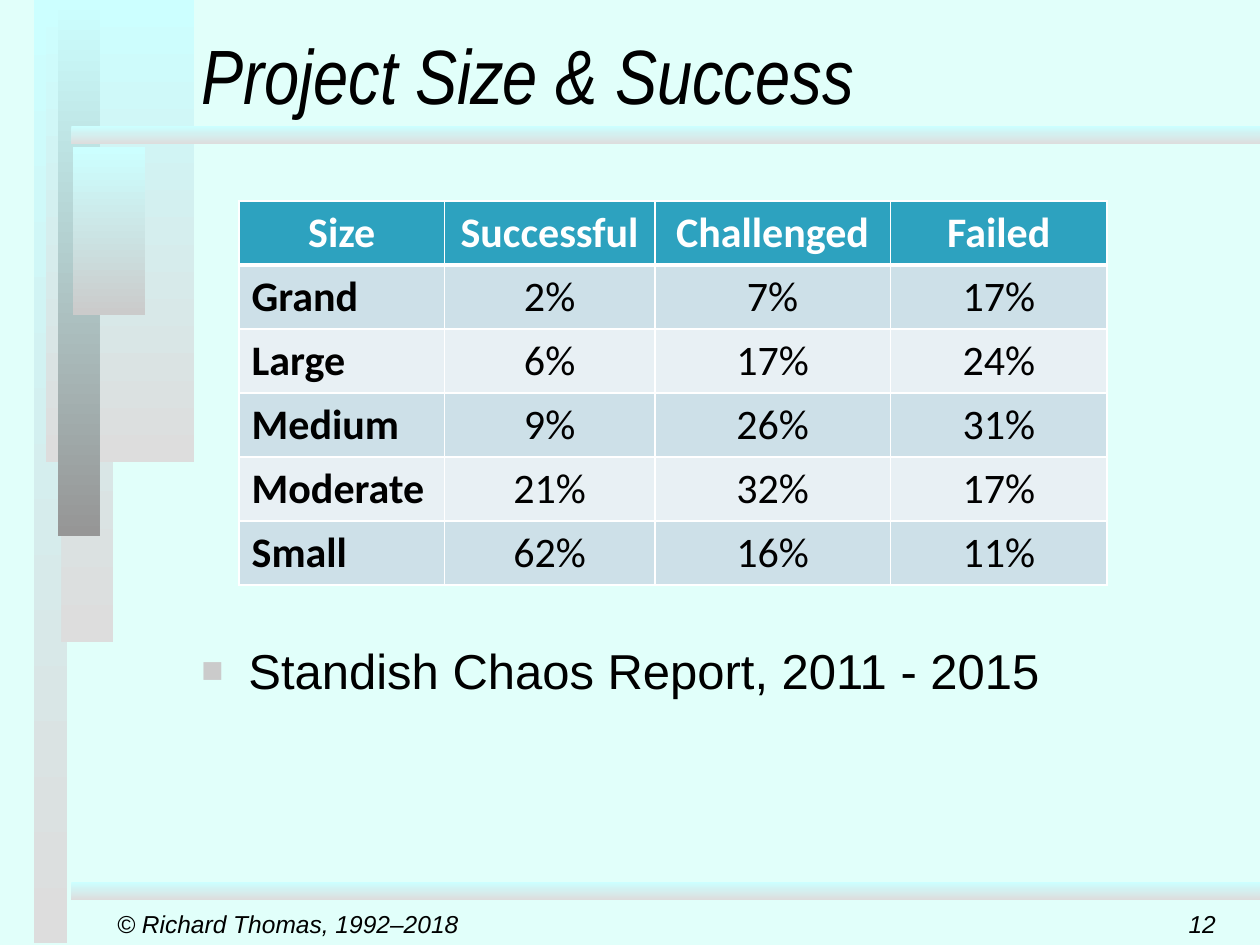
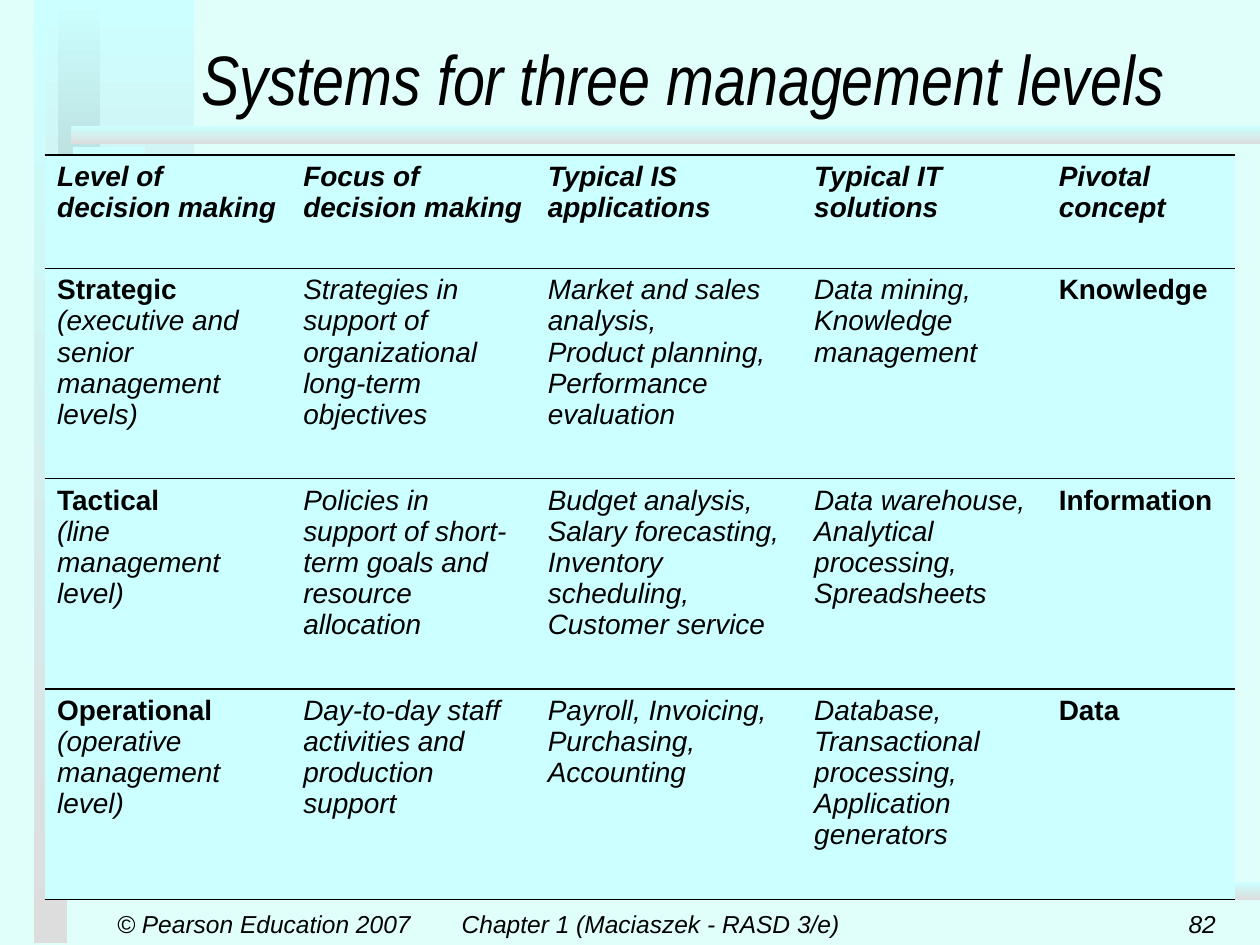
from dataclasses import dataclass

from lxml.etree import SubElement
from pptx import Presentation
from pptx.dml.color import RGBColor as Rgb
from pptx.enum.shapes import MSO_SHAPE as Shape
from pptx.enum.text import MSO_ANCHOR as Anchor, PP_ALIGN as Align
from pptx.oxml.ns import qn
from pptx.util import Cm, Pt


@dataclass(frozen=True)
class Theme:
    background: str = "E1FFFA"
    aqua: str = "CCFFFF"
    light_grey: str = "DDDDDD"
    mid_grey: str = "CBCBCB"
    dark_grey: str = "969696"
    black: str = "000000"
    white: str = "FFFFFF"
    header: str = "2DA2BF"
    band_dark: str = "CDE0E8"
    band_light: str = "E8F0F4"
    body_font: str = "Arial"
    title_font: str = "Arial Narrow"
    table_font: str = "Calibri"
    body_size: int = 28
    table_size: int = 24
    small_table_size: int = 16
    footer_size: int = 14


theme = Theme()


def write_lines(frame, lines, name, size, color=theme.black, align=Align.LEFT):
    """Write (text, bold, italic) lines, one paragraph each."""
    for index, (text, bold, italic) in enumerate(lines):
        paragraph = frame.add_paragraph() if index else frame.paragraphs[0]
        paragraph.alignment = align
        run = paragraph.add_run()
        run.text = text
        values = {"name": name, "size": Pt(size), "bold": bold, "italic": italic}
        for attribute, value in values.items():
            setattr(run.font, attribute, value)
        run.font.color.rgb = Rgb.from_string(color)


def style_cell(cell, fill, borders):
    """Set the fill and the (color, points) borders; a side not given has no line."""
    properties = cell._tc.get_or_add_tcPr()
    for side in "LRTB":
        line = SubElement(properties, qn(f"a:ln{side}"))
        if side in borders:
            color, width = borders[side]
            line.set("w", str(Pt(width)))
            solid = SubElement(line, qn("a:solidFill"))
            SubElement(solid, qn("a:srgbClr"), val=color)
        else:
            SubElement(line, qn("a:noFill"))
    cell.fill.solid()
    cell.fill.fore_color.rgb = Rgb.from_string(fill)


presentation = Presentation()
presentation.slide_width = Cm(25.4)
presentation.slide_height = Cm(19.05)
background = presentation.slide_master.background.fill
background.solid()
background.fore_color.rgb = Rgb.from_string(theme.background)

# Parts that both slides share
bands = [
    (0.69, 0, 0.66, 19.02, theme.light_grey),
    (1.24, 0, 1.04, 12.95, theme.light_grey),
    (0.92, 0, 3, 9.32, theme.light_grey),
    (1.17, 0, 0.84, 10.8, theme.dark_grey),
    (1.47, 2.97, 1.46, 3.38, theme.mid_grey),
    (1.44, 2.54, 23.96, 0.37, theme.light_grey),
    (1.44, 17.78, 23.96, 0.37, theme.light_grey),
]
# Each footer: text, left, width, alignment
slide_texts = [
    ("Project Size & Success", 44, [
        ("© Richard Thomas, 1992–2018", 2.11, 7.8, Align.LEFT),
        ("12", 19.48, 5.28, Align.RIGHT),
    ]),
    ("Systems for three management levels", 40, [
        ("© Pearson Education 2007", 2.11, 6.6, Align.LEFT),
        ("Chapter 1 (Maciaszek - RASD 3/e)", 8.77, 8.7, Align.CENTER),
        ("82", 19.48, 5.28, Align.RIGHT),
    ]),
]

for title, title_size, footers in slide_texts:
    slide = presentation.slides.add_slide(presentation.slide_layouts[6])
    for left, top, width, height, end_color in bands:
        band = slide.shapes.add_shape(
            Shape.RECTANGLE, Cm(left), Cm(top), Cm(width), Cm(height))
        band.shadow.inherit = False
        band.line.fill.background()
        band.fill.gradient()
        band.fill.gradient_angle = 270
        for stop, color in zip(band.fill.gradient_stops, (theme.aqua, end_color)):
            stop.color.rgb = Rgb.from_string(color)

    title_frame = slide.shapes.add_textbox(
        Cm(3.81), Cm(0), Cm(21.59), Cm(2.54)).text_frame
    title_frame.word_wrap = True
    title_frame.vertical_anchor = Anchor.BOTTOM
    write_lines(title_frame, [(title, False, True)], theme.title_font, title_size)

    for text, left, width, align in footers:
        footer_frame = slide.shapes.add_textbox(
            Cm(left), Cm(18.21), Cm(width), Cm(0.84)).text_frame
        footer_frame.word_wrap = True
        footer_frame.vertical_anchor = Anchor.MIDDLE
        write_lines(footer_frame, [(text, False, True)], theme.body_font,
                    theme.footer_size, align=align)

size_slide, levels_slide = presentation.slides

# Project size and success
source_frame = size_slide.shapes.add_textbox(
    Cm(3.81), Cm(12.78), Cm(20.96), Cm(2.36)).text_frame
source_frame.word_wrap = True
bullet = source_frame.paragraphs[0]._p.get_or_add_pPr()
bullet.set("marL", str(Cm(0.95)))
bullet.set("indent", str(-Cm(0.95)))
SubElement(SubElement(bullet, qn("a:buClr")), qn("a:srgbClr"), val=theme.mid_grey)
SubElement(bullet, qn("a:buSzPct"), val="75000")
SubElement(bullet, qn("a:buFont"), typeface=theme.body_font)
SubElement(bullet, qn("a:buChar"), char="■")
write_lines(source_frame, [("Standish Chaos Report, 2011 - 2015", False, False)],
            theme.body_font, theme.body_size)

size_rows = [
    ("Size", "Successful", "Challenged", "Failed"),
    ("Grand", "2%", "7%", "17%"),
    ("Large", "6%", "17%", "24%"),
    ("Medium", "9%", "26%", "31%"),
    ("Moderate", "21%", "32%", "17%"),
    ("Small", "62%", "16%", "11%"),
]
size_widths = [4.14, 4.24, 4.75, 4.37]
row_height = 1.29
size_table = size_slide.shapes.add_table(
    len(size_rows), len(size_widths), Cm(4.82), Cm(4.05),
    Cm(sum(size_widths)), Cm(row_height * len(size_rows))).table
for column, width in zip(size_table.columns, size_widths):
    column.width = Cm(width)
for row_index, row in enumerate(size_rows):
    size_table.rows[row_index].height = Cm(row_height)
    is_header = row_index == 0
    band_color = theme.band_dark if row_index % 2 else theme.band_light
    borders = {side: (theme.white, 1) for side in "LRTB"}
    if row_index < 2:
        borders["B" if is_header else "T"] = (theme.white, 3)
    for column_index, text in enumerate(row):
        cell = size_table.cell(row_index, column_index)
        is_label = column_index == 0
        style_cell(cell, theme.header if is_header else band_color, borders)
        write_lines(cell.text_frame, [(text, is_header or is_label, False)],
                    theme.table_font, theme.table_size,
                    theme.white if is_header else theme.black,
                    Align.LEFT if is_label and not is_header else Align.CENTER)

# Systems for three management levels; "|" separates the paragraphs of a cell
level_rows = [
    ("Level of decision making", "Focus of decision making",
     "Typical IS applications", "Typical IT solutions", "Pivotal concept"),
    ("Strategic|(executive and senior management levels)",
     "Strategies in support of organizational long-term objectives",
     "Market and sales analysis,|Product planning,|Performance evaluation",
     "Data mining,|Knowledge management", "Knowledge"),
    ("Tactical|(line management level)",
     "Policies in support of short-term goals and resource allocation",
     "Budget analysis,|Salary forecasting,|Inventory scheduling, Customer service",
     "Data warehouse,|Analytical processing, Spreadsheets", "Information"),
    ("Operational|(operative management level)",
     "Day-to-day staff activities and production support",
     "Payroll, Invoicing,|Purchasing, Accounting",
     "Database,|Transactional processing,|Application generators", "Data"),
]
level_widths = [4.96, 4.93, 5.37, 4.93, 3.81]
level_heights = [2.29, 4.24, 4.24, 4.24]
level_table = levels_slide.shapes.add_table(
    len(level_rows), len(level_widths), Cm(0.9), Cm(3.12),
    Cm(sum(level_widths)), Cm(sum(level_heights))).table
for column, width in zip(level_table.columns, level_widths):
    column.width = Cm(width)
rules = {side: (theme.black, 1) for side in "TB"}
for row_index, row in enumerate(level_rows):
    level_table.rows[row_index].height = Cm(level_heights[row_index])
    is_header = row_index == 0
    for column_index, text in enumerate(row):
        cell = level_table.cell(row_index, column_index)
        style_cell(cell, theme.aqua, rules)
        lines = []
        for line_index, line_text in enumerate(text.split("|")):
            is_key = column_index in (0, len(row) - 1) and line_index == 0
            lines.append((line_text, is_header or is_key, is_header or not is_key))
        write_lines(cell.text_frame, lines, theme.body_font, theme.small_table_size)

presentation.save("out.pptx")
